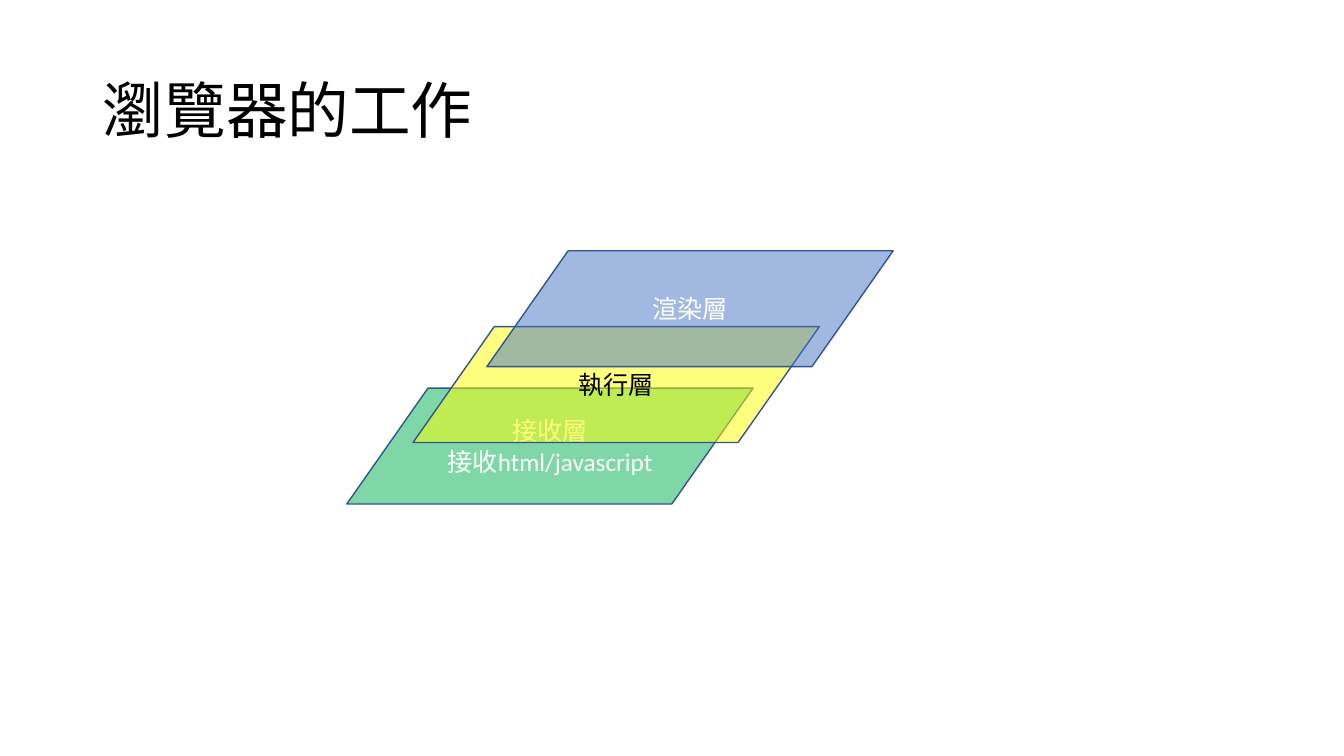
from dataclasses import dataclass

from lxml.etree import SubElement
from pptx import Presentation
from pptx.dml.color import RGBColor
from pptx.enum.shapes import MSO_SHAPE
from pptx.enum.text import MSO_ANCHOR, MSO_AUTO_SIZE, PP_ALIGN
from pptx.oxml.ns import qn
from pptx.slide import Slide
from pptx.text.text import TextFrame
from pptx.util import Cm, Pt

COLORS = {
    "black": "000000",
    "white": "FFFFFF",
    "green": "00B050",
    "yellow": "FFFF00",
    "blue": "4472C4",
    "edge": "325491",
}
FONT = "Calibri"
WIDE, HIGH = 10.24, 2.92  # size of every layer, in cm


@dataclass
class Layer:
    text: str
    left: float
    top: float
    fill: str
    ink: str = "white"


# Layers from back to front
LAYERS = [
    Layer("接收層\n接收html/javascript", 8.74, 9.78, "green"),
    Layer("執行層", 10.41, 8.23, "yellow", "black"),
    Layer("渲染層", 12.27, 6.32, "blue"),
]


def color(name: str) -> RGBColor:
    return RGBColor.from_string(COLORS[name])


def write(frame: TextFrame, text: str, *, size: float = 18, ink: str = "black",
          align: PP_ALIGN = PP_ALIGN.CENTER, space: float = 1.0) -> None:
    frame.text = text
    frame.word_wrap = True
    frame.auto_size = MSO_AUTO_SIZE.NONE
    frame.vertical_anchor = MSO_ANCHOR.MIDDLE
    for para in frame.paragraphs:
        para.alignment = align
        para.line_spacing = space
        for run in para.runs:
            run.font.name = FONT
            run.font.size = Pt(size)
            run.font.color.rgb = color(ink)


def draw(slide: Slide, layer: Layer) -> None:
    shape = slide.shapes.add_shape(
        MSO_SHAPE.FLOWCHART_DATA,
        Cm(layer.left), Cm(layer.top), Cm(WIDE), Cm(HIGH))
    shape.shadow.inherit = False
    shape.fill.solid()
    shape.fill.fore_color.rgb = color(layer.fill)
    # Half transparent fill
    tint = shape.fill._xPr.find(qn("a:solidFill"))[0]
    SubElement(tint, qn("a:alpha"), val="50000")
    shape.line.color.rgb = color("edge")
    shape.line.width = Pt(1)
    write(shape.text_frame, layer.text, ink=layer.ink)


# Slide
deck = Presentation()
deck.slide_width, deck.slide_height = Cm(33.87), Cm(19.05)
slide = deck.slides.add_slide(deck.slide_layouts[5])

# Title
title = slide.shapes.title
title.left, title.top = Cm(2.34), Cm(1.02)
title.width, title.height = Cm(29.21), Cm(3.68)
write(title.text_frame, "瀏覽器的工作", size=44, align=PP_ALIGN.LEFT, space=0.9)

# Stack of layers
for layer in LAYERS:
    draw(slide, layer)

deck.save("out.pptx")
